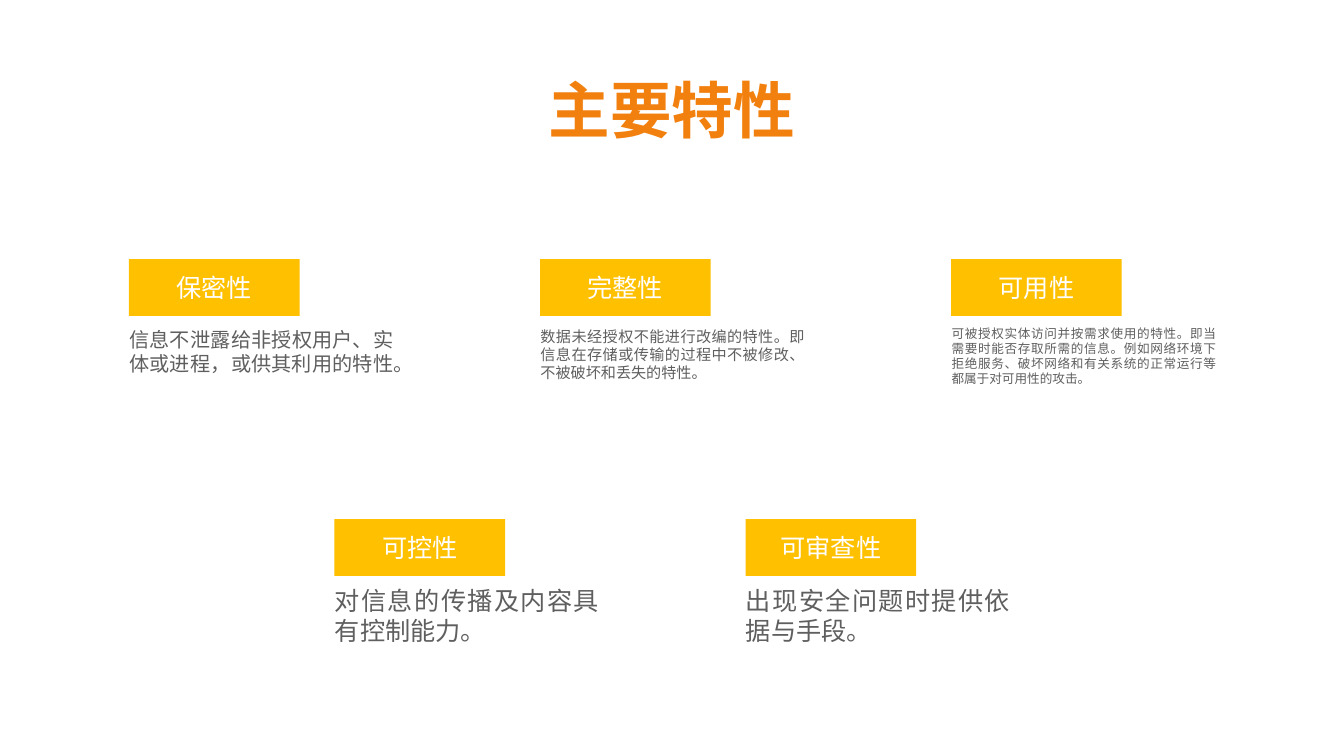
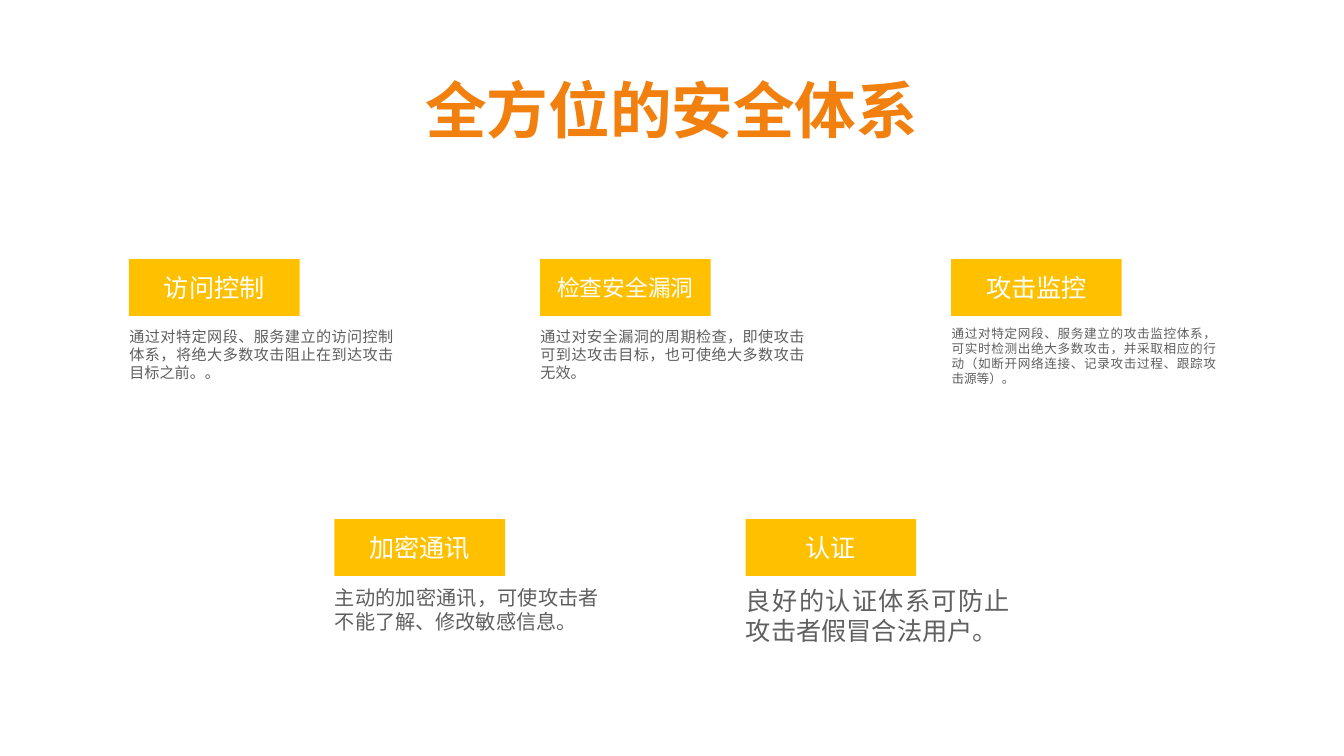
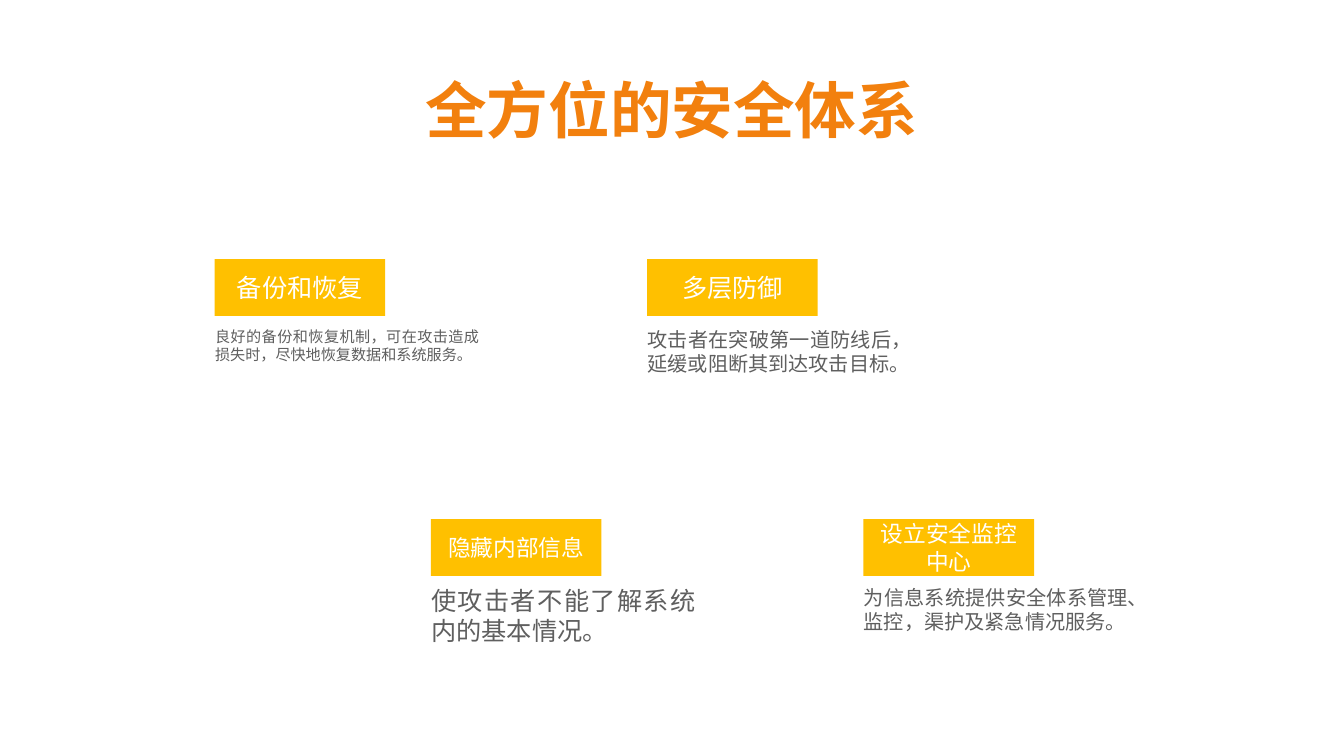
from lxml import etree
from pptx import Presentation
from pptx import util as u
from pptx.dml import color
from pptx.enum import shapes, text
from pptx.oxml import ns

# Each slide: title, left of first card, step between cards,
# then cards as (label, label size, body, body size).
# Cards run left to right and alternate between the two rows.
SLIDES = [
    ("主要特性", 3.25, 5.18, [
        ("保密性", 18, "信息不泄露给非授权用户、实体或进程，或供其利用的特性。", 14.4),
        ("可控性", 18, "对信息的传播及内容具有控制能力。", 18),
        ("完整性", 18, "数据未经授权不能进行改编的特性。即信息在存储或传输的过程中"
         "不被修改、不被破坏和丢失的特性。", 10.8),
        ("可审查性", 18, "出现安全问题时提供依据与手段。", 18),
        ("可用性", 18, "可被授权实体访问并按需求使用的特性。即当需要时能否存取所需的信息。"
         "例如网络环境下拒绝服务、破坏网络和有关系统的正常运行等都属于对可用性的攻击。", 9),
    ]),
    ("全方位的安全体系", 3.25, 5.18, [
        ("访问控制", 18, "通过对特定网段、服务建立的访问控制体系，"
         "将绝大多数攻击阻止在到达攻击目标之前。。", 10.8),
        ("加密通讯", 18, "主动的加密通讯，可使攻击者不能了解、修改敏感信息。", 14.4),
        ("检查安全漏洞", 16.2, "通过对安全漏洞的周期检查，即使攻击可到达攻击目标，"
         "也可使绝大多数攻击无效。", 10.8),
        ("认证", 18, "良好的认证体系可防止攻击者假冒合法用户。", 18),
        ("攻击监控", 18, "通过对特定网段、服务建立的攻击监控体系，可实时检测出绝大多数攻击，"
         "并采取相应的行动（如断开网络连接、记录攻击过程、跟踪攻击源等）。", 9),
    ]),
    ("全方位的安全体系", 5.41, 5.45, [
        ("备份和恢复", 18, "良好的备份和恢复机制，可在攻击造成损失时，"
         "尽快地恢复数据和系统服务。", 10.8),
        ("隐藏内部信息", 16.2, "使攻击者不能了解系统内的基本情况。", 18),
        ("多层防御", 18, "攻击者在突破第一道防线后，延缓或阻断其到达攻击目标。", 14.4),
        ("设立安全监控中心", 16.2, "为信息系统提供安全体系管理、监控，渠护及紧急情况服务。", 14.4),
    ]),
]

FONT = "Arial"
ORANGE, GOLD, GREY, WHITE = "F2800E", "FFC000", "5F5F5F", "FFFFFF"
ROWS = [(6.53, 8.13), (13.08, 14.63)]  # tops of label and body
LABEL, BODY = (4.3, 1.43), (7.16, 1.83)
INDENT = 0.24  # body box starts this far left of its label
LIFT = 0.05  # body in the smallest size sits a little higher
ALIGN = text.PP_ALIGN


def rgb(code):
    """Turn a hex string into a colour."""
    return color.RGBColor.from_string(code)


def place(shape, left, top, wide, high):
    """Set a shape's box in centimetres."""
    shape.left, shape.top = u.Cm(left), u.Cm(top)
    shape.width, shape.height = u.Cm(wide), u.Cm(high)


def write(shape, words, size, ink, align=ALIGN.CENTER, bold=False,
          anchor=text.MSO_ANCHOR.MIDDLE, before=None, line=None):
    """Put one formatted paragraph in a shape and return its run."""
    frame = shape.text_frame
    frame.word_wrap = True
    frame.auto_size = text.MSO_AUTO_SIZE.NONE
    frame.vertical_anchor = anchor
    para = frame.paragraphs[0]
    para.alignment = align
    if before is not None:
        para.space_before = u.Pt(before)
    if line is not None:
        para.line_spacing = line
    run = para.add_run()
    run.text = words
    font = run.font
    font.name, font.size, font.bold = FONT, u.Pt(size), bold
    font.color.rgb = rgb(ink)
    east = etree.SubElement(run._r.get_or_add_rPr(), ns.qn("a:ea"))
    east.set("typeface", FONT)
    return run


def outline(run, ink, width):
    """Draw a line round the letters of a run."""
    edge = etree.Element(ns.qn("a:ln"), w=str(u.Pt(width)))
    fill = etree.SubElement(edge, ns.qn("a:solidFill"))
    etree.SubElement(fill, ns.qn("a:srgbClr"), val=ink)
    run._r.get_or_add_rPr().insert(0, edge)


def head(slide, words):
    """Format the title."""
    title = slide.shapes.title
    place(title, 2.33, 1.02, 29.21, 3.68)
    run = write(title, words, 44, ORANGE, bold=True, line=0.9)
    outline(run, WHITE, 0.75)


def card(slide, left, row, label, size, body, small):
    """Group a gold label with the text below it."""
    top, under = row
    group = slide.shapes.add_group_shape().shapes
    tag = group.add_shape(shapes.MSO_SHAPE.RECTANGLE, 0, 0, 0, 0)
    place(tag, left, top, *LABEL)
    tag.shadow.inherit = False
    tag.fill.solid()
    tag.fill.fore_color.rgb = rgb(GOLD)
    tag.line.fill.background()
    write(tag, label, size, WHITE)
    note = group.add_textbox(0, 0, 0, 0)
    place(note, left - INDENT, under - (LIFT if small < 10 else 0), *BODY)
    write(note, body, small, GREY, align=ALIGN.JUSTIFY,
          anchor=text.MSO_ANCHOR.TOP, before=6)


def build():
    """Make and save the deck."""
    deck = Presentation()
    deck.slide_width, deck.slide_height = u.Cm(33.87), u.Cm(19.05)
    for title, start, step, cards in SLIDES:
        slide = deck.slides.add_slide(deck.slide_layouts[5])
        head(slide, title)
        for i, item in enumerate(cards):
            card(slide, start + i * step, ROWS[i % 2], *item)
    deck.save("out.pptx")


build()
